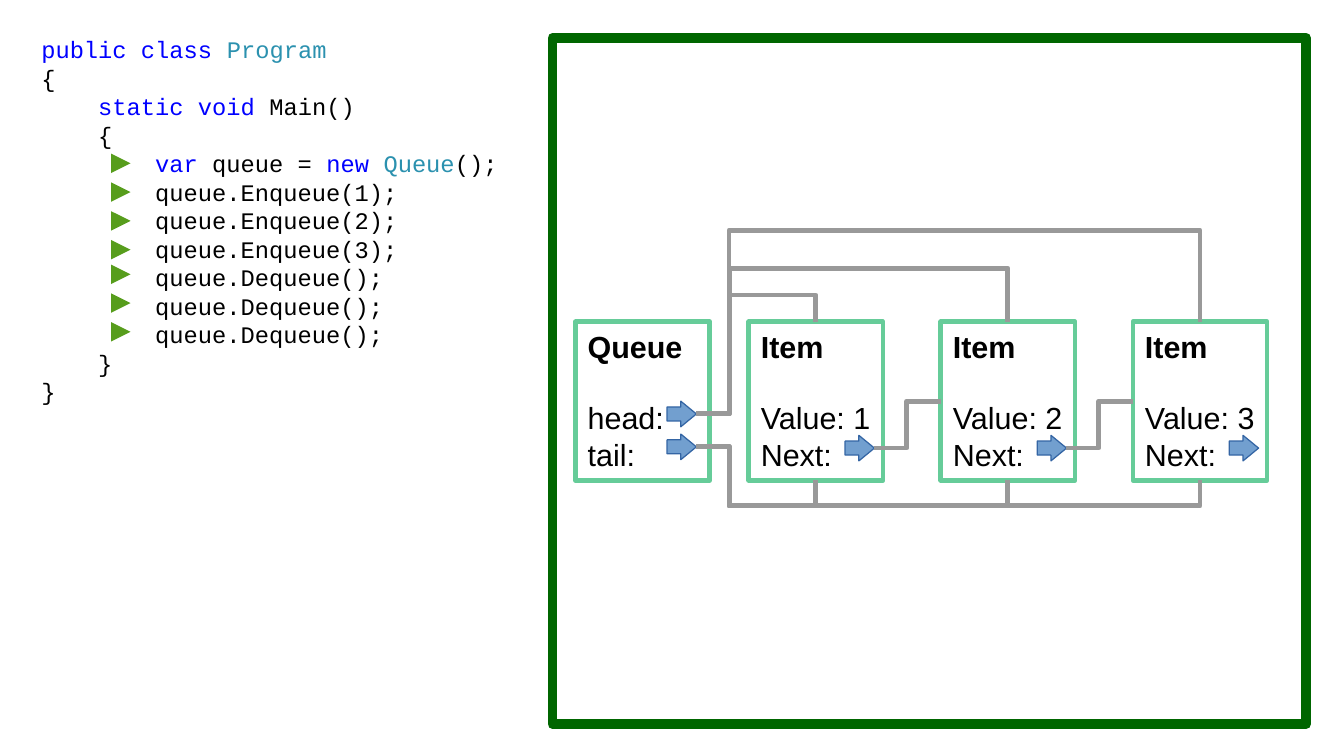
import pptx
import pptx.dml.color
import pptx.enum.shapes
import pptx.enum.text
import pptx.oxml
import pptx.util

RGBColor = pptx.dml.color.RGBColor
SHAPE = pptx.enum.shapes.MSO_SHAPE

BLACK = RGBColor(0x00, 0x00, 0x00)
KEYWORD = RGBColor(0x00, 0x00, 0xFF)
TYPE_NAME = RGBColor(0x2B, 0x91, 0xAF)
FRAME_GREEN = RGBColor(0x00, 0x66, 0x00)
BOX_GREEN = RGBColor(0x66, 0xCC, 0x99)
MARKER_GREEN = RGBColor(0x57, 0x9D, 0x1C)
POINTER_FILL = RGBColor(0x72, 0x9F, 0xCF)
POINTER_EDGE = RGBColor(0x34, 0x65, 0xA4)
LINK_GREY = RGBColor(0x99, 0x99, 0x99)

TOP, LEFT, BOTTOM, RIGHT = range(4)  # connection sites

# Each line of code: indent level, then (text, colour) pieces
CODE = [
    (0, [("public class ", KEYWORD), ("Program", TYPE_NAME)]),
    (0, [("{", BLACK)]),
    (1, [("static void", KEYWORD), (" Main()", BLACK)]),
    (1, [("{", BLACK)]),
    (2, [("var", KEYWORD), (" queue = ", BLACK), ("new ", KEYWORD),
         ("Queue", TYPE_NAME), ("();", BLACK)]),
    *[(2, [(f"queue.Enqueue({value});", BLACK)]) for value in (1, 2, 3)],
    *[(2, [("queue.Dequeue();", BLACK)])] * 3,
    (1, [("}", BLACK)]),
    (0, [("}", BLACK)]),
]


def cells(count):
    """Length of a number of grid columns or rows, ten to the inch."""
    return pptx.util.Inches(count / 10)


def write(paragraph, text, font="Arial", size=18, color=BLACK, bold=False):
    run = paragraph.add_run()
    run.text = text
    run.font.name = font
    run.font.size = pptx.util.Pt(size)
    run.font.color.rgb = color
    run.font.bold = bold


class Board:
    """The slide being drawn, with its style; places are in grid cells."""

    box_size = (11, 13)
    pointer_size = (2.4, 2.1)
    marker_size = (1.6, 1.6)
    code_font = {"font": "Courier New", "size": 14}
    code_pitch = 16.8
    indent = 4.67
    box_line, link_line, frame_line = 2.83, 2.89, 5.67

    def __init__(self, slide):
        self.shapes = slide.shapes

    def shape(self, kind, place, size, fill=None, edge=None, width=0):
        shape = self.shapes.add_shape(kind, *map(cells, (*place, *size)))
        shape.shadow.inherit = False
        if fill is None:
            shape.fill.background()
        else:
            shape.fill.solid()
            shape.fill.fore_color.rgb = fill
        if edge is None:
            shape.line.fill.background()
        else:
            shape.line.color.rgb = edge
            shape.line.width = pptx.util.Pt(width)
        return shape

    def code(self, place, size, lines):
        frame = self.shapes.add_textbox(*map(cells, (*place, *size))).text_frame
        frame.word_wrap = True
        for number, (level, pieces) in enumerate(lines):
            paragraph = frame.add_paragraph() if number else frame.paragraphs[0]
            paragraph.line_spacing = pptx.util.Pt(self.code_pitch)
            properties = paragraph._p.get_or_add_pPr()
            properties.set("marL", str(cells(self.indent * level)))
            properties.set("indent", "0")
            for text, color in pieces:
                write(paragraph, text, color=color, **self.code_font)

    def frame(self, place, size):
        self.shape(SHAPE.RECTANGLE, place, size, edge=FRAME_GREEN,
                   width=self.frame_line)

    def marker(self, place):
        """Triangle that points at a statement."""
        self.shape(SHAPE.ISOSCELES_TRIANGLE, place, self.marker_size,
                   fill=MARKER_GREEN).rotation = 90

    def box(self, place, title, fields):
        box = self.shape(SHAPE.RECTANGLE, place, self.box_size,
                         edge=BOX_GREEN, width=self.box_line)
        frame = box.text_frame
        frame.word_wrap = True
        frame.margin_right = 0
        frame.vertical_anchor = pptx.enum.text.MSO_ANCHOR.TOP
        heading = frame.paragraphs[0]
        write(heading, title, bold=True)
        heading.space_after = pptx.util.Pt(20.7)
        for field in fields:
            write(frame.add_paragraph(), field)
        for paragraph in frame.paragraphs:
            paragraph.alignment = pptx.enum.text.PP_ALIGN.LEFT
        return box

    def pointer(self, place):
        arrow = self.shape(SHAPE.RIGHT_ARROW, place, self.pointer_size,
                           fill=POINTER_FILL, edge=POINTER_EDGE)
        arrow.adjustments[0], arrow.adjustments[1] = 0.547, 0.607
        return arrow

    def link(self, pointer, box, site, bend, lane=None):
        """Bent line by way of column bend and, if given, row lane."""
        link = self.shapes.add_connector(
            pptx.enum.shapes.MSO_CONNECTOR.ELBOW, 0, 0, 0, 0)
        link.begin_connect(pointer, RIGHT)
        link.end_connect(box, site)
        link.line.color.rgb = LINK_GREY
        link.line.width = pptx.util.Pt(self.link_line)
        properties = link._element.spPr
        pptx.oxml.xmlchemy.OxmlElement  # schema-aware element factory
        properties.append(pptx.oxml.xmlchemy.OxmlElement("a:effectLst"))
        bends = {"adj1": (cells(bend) - link.begin_x) / (link.end_x - link.begin_x)}
        geometry = properties.find(pptx.oxml.ns.qn("a:prstGeom"))
        if lane is not None:
            geometry.set("prst", "bentConnector4")
            bends["adj2"] = (cells(lane) - link.begin_y) / (link.end_y - link.begin_y)
        guides = geometry.get_or_add_avLst()
        for name, share in bends.items():
            guide = pptx.oxml.xmlchemy.OxmlElement("a:gd")
            guide.set("name", name)
            guide.set("fmla", f"val {round(share * 100000)}")
            guides.append(guide)


def main():
    deck = pptx.Presentation()
    deck.slide_width, deck.slide_height = cells(110.2), cells(62)
    board = Board(deck.slides.add_slide(deck.slide_layouts[6]))

    board.code((2.4, 2.4), (40.9, 30.7), CODE)
    for first_row, count in ((12.6, 4), (21.7, 3)):
        for step in range(count):
            board.marker((9.1, first_row + 2.36 * step))
    board.frame((45.3, 3.1), (61.8, 56.3))

    box_row, item_column, item_pitch = 26.4, 61.4, 15.75
    board.box((47.2, box_row), "Queue", ["head:", "tail:"])
    head = board.pointer((54.7, 32.9))
    tail = board.pointer((54.7, 35.6))

    items, nexts = [], []
    for index in range(3):
        column = item_column + item_pitch * index
        items.append(board.box((column, box_row), "Item",
                               [f"Value: {index + 1}", "Next:"]))
        nexts.append(board.pointer((column + 7.9, 35.7)))

    for item, head_lane in zip(items, (24.2, 22, 18.9)):
        board.link(head, item, TOP, bend=59.8, lane=head_lane)
        board.link(tail, item, BOTTOM, bend=59.8, lane=41.5)
    for index, (pointer, following) in enumerate(zip(nexts, items[1:])):
        board.link(pointer, following, LEFT, bend=74.35 + item_pitch * index)

    deck.save("out.pptx")


if __name__ == "__main__":
    main()
